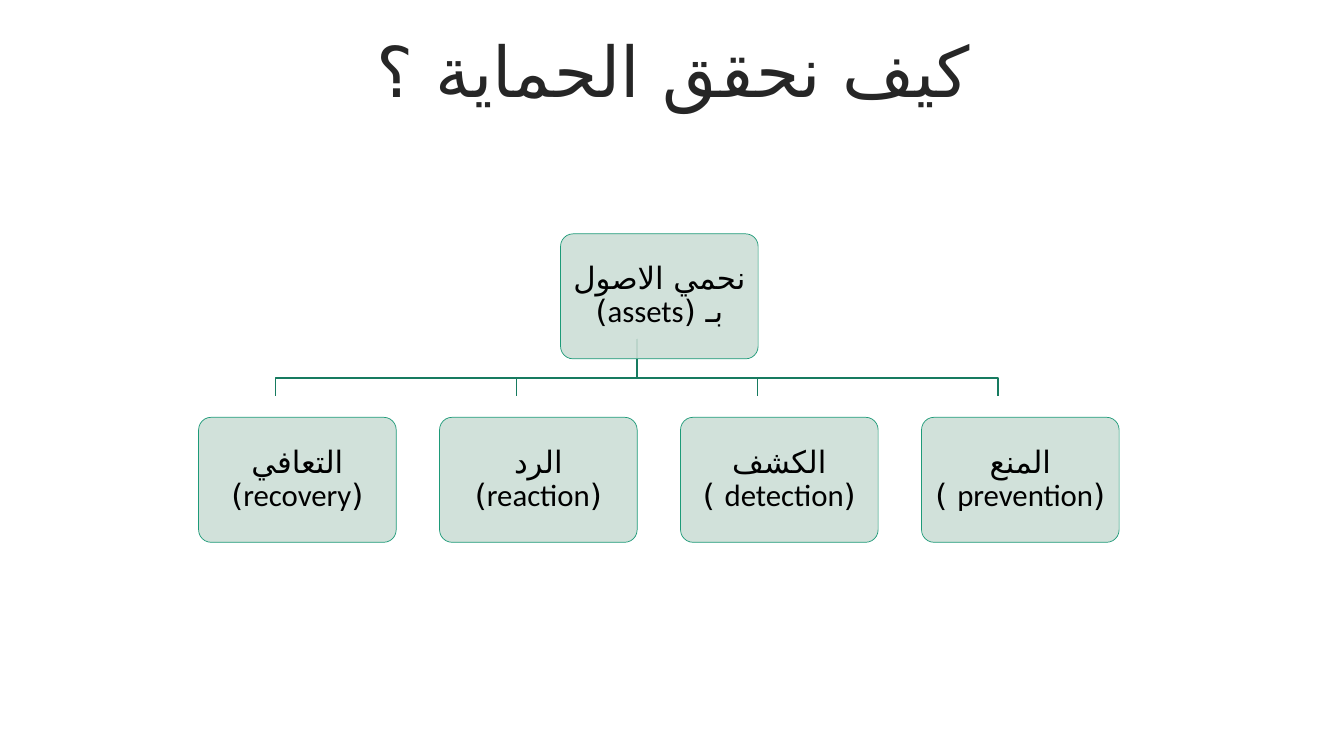
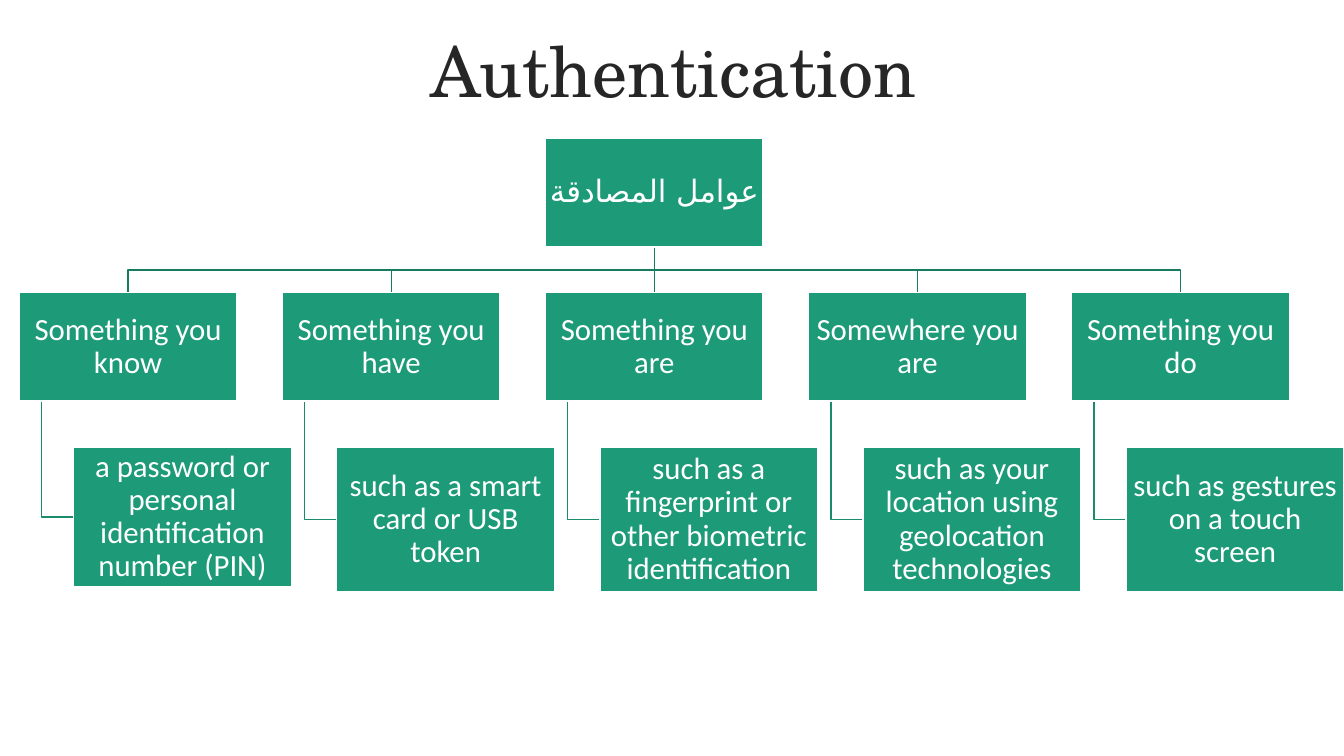
from lxml.etree import SubElement
from pptx import Presentation
from pptx.dml.color import RGBColor
from pptx.enum.shapes import MSO_CONNECTOR, MSO_SHAPE
from pptx.enum.text import MSO_ANCHOR, MSO_AUTO_SIZE, PP_ALIGN
from pptx.oxml.ns import qn
from pptx.util import Inches, Pt

GREEN = "1D9A78"
TREE_LINE = "177B60"
DETAIL_LINE = "1A8C6D"
PALE = "CDDED6"
DARK = "262626"
BLACK = "000000"
WHITE = "FFFFFF"
BODY_FONT = "Calibri"
TITLE_FONT = "TeX Gyre Schola"
ARABIC_FONT = "DejaVu Sans"

PROTECTIONS = ["التعافي (recovery)", "الرد (reaction)", "الكشف (detection )", "المنع (prevention )"]
FACTORS = [
    ("Something you know", "a password or personal identification number (PIN)", 1.38),
    ("Something you have", "such as a smart card or USB token", 1.43),
    ("Something you are", "such as a fingerprint or other biometric identification", 1.43),
    ("Somewhere you are", "such as your location using geolocation technologies", 1.43),
    ("Something you do", "such as gestures on a touch screen", 1.43),
]


def rgb(value):
    return RGBColor.from_string(value)


def write(shape, text, size=22, font=BODY_FONT, color=BLACK, spacing=0.9, inset=None):
    tf = shape.text_frame
    tf.word_wrap = True
    tf.auto_size = MSO_AUTO_SIZE.NONE
    tf.vertical_anchor = MSO_ANCHOR.MIDDLE
    if inset is not None:
        tf.margin_left = tf.margin_right = tf.margin_top = tf.margin_bottom = Inches(inset)
    p = tf.paragraphs[0]
    p.alignment = PP_ALIGN.CENTER
    p.line_spacing = spacing
    p.space_before = Pt(0)
    p._p.get_or_add_pPr().set("rtl", "1")
    r = p.add_run()
    r.text = text
    r.font.size = Pt(size)
    r.font.name = font
    r.font.color.rgb = rgb(color)
    SubElement(r._r.get_or_add_rPr(), qn("a:cs"), typeface=ARABIC_FONT)


def add_slide(prs, title, font):
    s = prs.slides.add_slide(prs.slide_layouts[5])
    sp = s.shapes.title
    sp.left, sp.top, sp.width, sp.height = map(Inches, (0.35, 0.37, 12.66, 0.79))
    write(sp, title, size=50, font=font, color=DARK, spacing=0.8)
    return s


def add_box(s, kind, x, y, w, h, fill, line, line_width):
    sp = s.shapes.add_shape(kind, Inches(x), Inches(y), Inches(w), Inches(h))
    sp.shadow.inherit = False
    sp.fill.solid()
    sp.fill.fore_color.rgb = rgb(fill)
    sp.line.color.rgb = rgb(line)
    sp.line.width = Pt(line_width)
    return sp


def add_card(s, text, x, y):
    sp = add_box(s, MSO_SHAPE.ROUNDED_RECTANGLE, x, y, 1.96, 1.24, PALE, GREEN, 0.5)
    sp.adjustments[0] = 0.1
    color = sp._element.spPr.find(qn("a:solidFill"))[0]
    SubElement(color, qn("a:alpha"), val="90000")
    write(sp, text, inset=0.09)


def add_block(s, text, x, y, h=1.08):
    sp = add_box(s, MSO_SHAPE.RECTANGLE, x, y, 2.16, h, GREEN, WHITE, 1)
    write(sp, text, color=WHITE, inset=0.02)


def style_line(sp, color):
    sp.line.color.rgb = rgb(color)
    sp.line.width = Pt(1)


def add_path(s, points, color):
    start, *rest = [(Inches(x), Inches(y)) for x, y in points]
    builder = s.shapes.build_freeform(*start)
    builder.add_line_segments(rest, close=False)
    sp = builder.convert_to_shape()
    sp.shadow.inherit = False
    sp.fill.background()
    style_line(sp, color)


def add_line(s, x1, y1, x2, y2, color):
    c = s.shapes.add_connector(
        MSO_CONNECTOR.STRAIGHT, Inches(x1), Inches(y1), Inches(x2), Inches(y2))
    style_line(c, color)
    SubElement(c._element.spPr, qn("a:effectLst"))


def add_branches(s, root_x, top, bus_y, bottom, xs):
    for x in xs:
        if abs(x - root_x) < 0.01:
            add_line(s, root_x, top, root_x, bottom, TREE_LINE)
        else:
            points = [(root_x, top), (root_x, bus_y), (x, bus_y), (x, bottom)]
            add_path(s, points, TREE_LINE)


def protection_slide(prs):
    s = add_slide(prs, "كيف نحقق الحماية ؟", BODY_FONT)
    xs = [1.97 + i * 2.39 for i in range(len(PROTECTIONS))]
    add_branches(s, 6.32, 3.36, 3.75, 3.93, [x + 0.76 for x in xs])
    add_card(s, "نحمي الاصول بـ (assets)", 5.56, 2.32)
    for x, text in zip(xs, PROTECTIONS):
        add_card(s, text, x, 4.14)


def authentication_slide(prs):
    s = add_slide(prs, "Authentication", TITLE_FONT)
    xs = [0.19 + i * 2.61 for i in range(len(FACTORS))]
    add_branches(s, 6.49, 2.45, 2.68, 2.9, [x + 1.08 for x in xs])
    add_block(s, "عوامل المصادقة", 5.41, 1.37)
    for x, (factor, detail, h) in zip(xs, FACTORS):
        stem, detail_x, mid_y = x + 0.22, x + 0.54, 4.44 + h / 2
        add_path(s, [(stem, 3.98), (stem, mid_y), (detail_x, mid_y)], DETAIL_LINE)
        add_block(s, factor, x, 2.9)
        add_block(s, detail, detail_x, 4.44, h)


def main():
    prs = Presentation()
    prs.slide_width, prs.slide_height = Inches(13.33), Inches(7.5)
    protection_slide(prs)
    authentication_slide(prs)
    prs.save("out.pptx")


if __name__ == "__main__":
    main()
